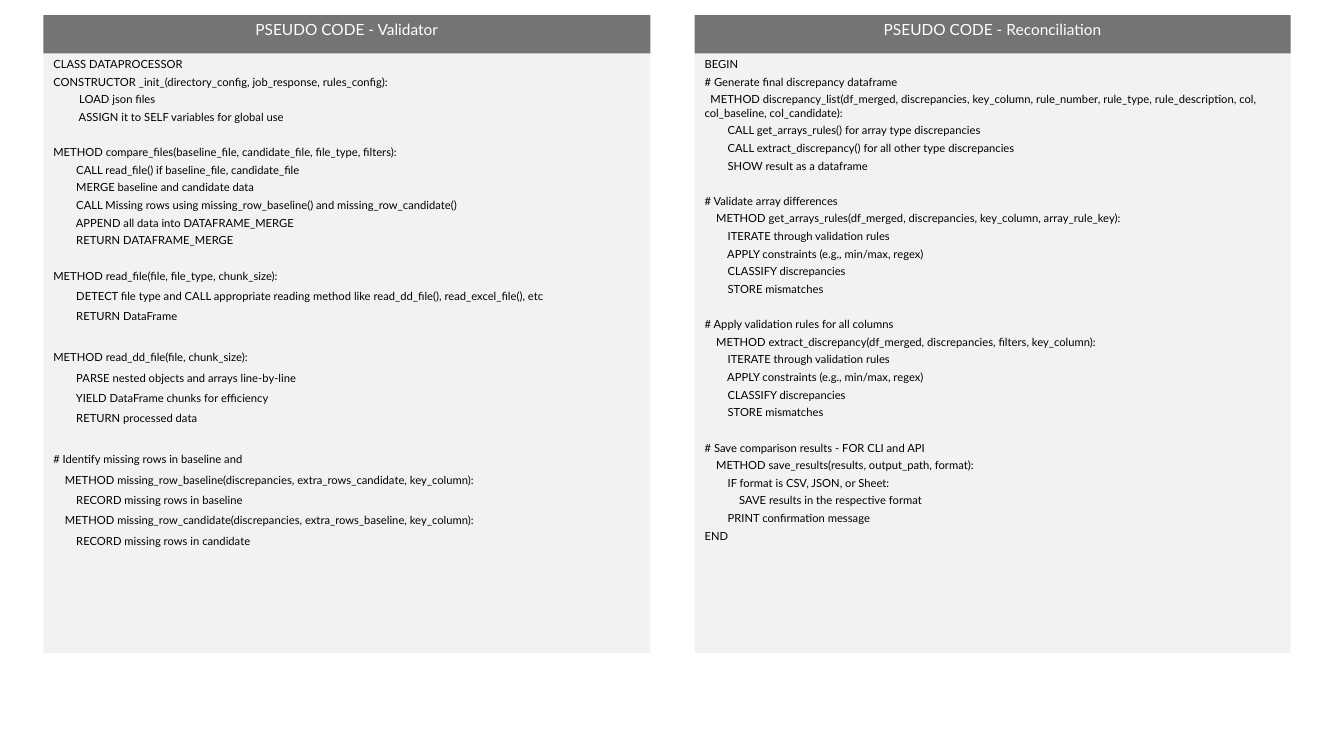
from pptx import Presentation
from pptx.dml.color import RGBColor
from pptx.enum.shapes import MSO_SHAPE as Shape
from pptx.enum.text import MSO_ANCHOR as Anchor, PP_ALIGN as Align
from pptx.util import Inches, Pt

FONT = "Lato"
CODE_SIZE, TITLE_SIZE = 8, 11
LINE_HEIGHT = 1.2 * CODE_SIZE
HEADER_TOP, HEADER_HEIGHT = 0.15, 0.38
BODY_TOP, BODY_HEIGHT = 0.52, 5.96

VALIDATOR = [
    (3, [
        "CLASS DATAPROCESSOR",
        "CONSTRUCTOR _init_(directory_config, job_response, rules_config):",
        "         LOAD json files",
        "         ASSIGN it to SELF variables for global use",
    ]),
    (3, [
        "METHOD compare_files(baseline_file, candidate_file, file_type, filters):",
        "        CALL read_file() if baseline_file, candidate_file",
        "        MERGE baseline and candidate data",
        "        CALL Missing rows using missing_row_baseline() and missing_row_candidate()",
        "        APPEND all data into DATAFRAME_MERGE",
        "        RETURN DATAFRAME_MERGE",
    ]),
    (5, [
        "METHOD read_file(file, file_type, chunk_size):",
        "        DETECT file type and CALL appropriate reading method like "
        "read_dd_file(), read_excel_file(), etc",
        "        RETURN DataFrame",
    ]),
    (5, [
        "METHOD read_dd_file(file, chunk_size):",
        "        PARSE nested objects and arrays line-by-line",
        "        YIELD DataFrame chunks for efficiency",
        "        RETURN processed data",
    ]),
    (5, [
        "# Identify missing rows in baseline and",
        "    METHOD missing_row_baseline(discrepancies, extra_rows_candidate, key_column):",
        "        RECORD missing rows in baseline",
        "    METHOD missing_row_candidate(discrepancies, extra_rows_baseline, key_column):",
        "        RECORD missing rows in candidate",
    ]),
]

RULE_STEPS = [
    "        ITERATE through validation rules",
    "        APPLY constraints (e.g., min/max, regex)",
    "        CLASSIFY discrepancies",
    "        STORE mismatches",
]

RECONCILIATION = [
    (3, [
        "BEGIN",
        "# Generate final discrepancy dataframe",
        "  METHOD discrepancy_list(df_merged, discrepancies, key_column, rule_number, "
        "rule_type, rule_description, col, col_baseline, col_candidate):",
        "        CALL get_arrays_rules() for array type discrepancies",
        "        CALL extract_discrepancy() for all other type discrepancies",
        "        SHOW result as a dataframe",
    ]),
    (3, [
        "# Validate array differences",
        "    METHOD get_arrays_rules(df_merged, discrepancies, key_column, array_rule_key):",
        *RULE_STEPS,
    ]),
    (3, [
        "# Apply validation rules for all columns",
        "    METHOD extract_discrepancy(df_merged, discrepancies, filters, key_column):",
        *RULE_STEPS,
    ]),
    (3, [
        "# Save comparison results - FOR CLI and API",
        "    METHOD save_results(results, output_path, format):",
        "        IF format is CSV, JSON, or Sheet:",
        "            SAVE results in the respective format",
        "        PRINT confirmation message",
        "END",
    ]),
]

PANELS = [
    ("PSEUDO CODE - Reconciliation", 6.89, 5.91, RECONCILIATION),
    ("PSEUDO CODE - Validator", 0.43, 6.02, VALIDATOR),
]


def color(value):
    return RGBColor.from_string(value)


def add_box(page, left, top, width, height, fill, wrap):
    box = page.shapes.add_shape(
        Shape.RECTANGLE, Inches(left), Inches(top), Inches(width), Inches(height))
    box.shadow.inherit = False
    box.fill.solid()
    box.fill.fore_color.rgb = color(fill)
    box.line.fill.background()
    box.text_frame.word_wrap = wrap
    box.text_frame.vertical_anchor = Anchor.TOP
    return box.text_frame


def write(para, text, size, ink, align):
    para.alignment = align
    span = para.add_run()
    span.text = text
    span.font.name = FONT
    span.font.size = Pt(size)
    span.font.color.rgb = color(ink)


def write_code(frame, sections):
    para = frame.paragraphs[0]
    gap = None
    for spacing, lines in sections:
        for index, line in enumerate(lines):
            if para is None:
                para = frame.add_paragraph()
            if index == 0 and gap:
                para.space_before = Pt(gap)
            para.space_after = Pt(spacing)
            write(para, line, CODE_SIZE, "000000", Align.LEFT)
            para = None
        gap = LINE_HEIGHT + spacing


def main():
    deck = Presentation()
    deck.slide_width, deck.slide_height = Inches(13.33), Inches(7.5)
    page = deck.slides.add_slide(deck.slide_layouts[6])
    for title, left, width, sections in PANELS:
        body = add_box(page, left, BODY_TOP, width, BODY_HEIGHT, "F2F2F2", True)
        write_code(body, sections)
        header = add_box(page, left, HEADER_TOP, width, HEADER_HEIGHT, "747474", False)
        write(header.paragraphs[0], title, TITLE_SIZE, "FFFFFF", Align.CENTER)
    deck.save("out.pptx")


if __name__ == "__main__":
    main()
